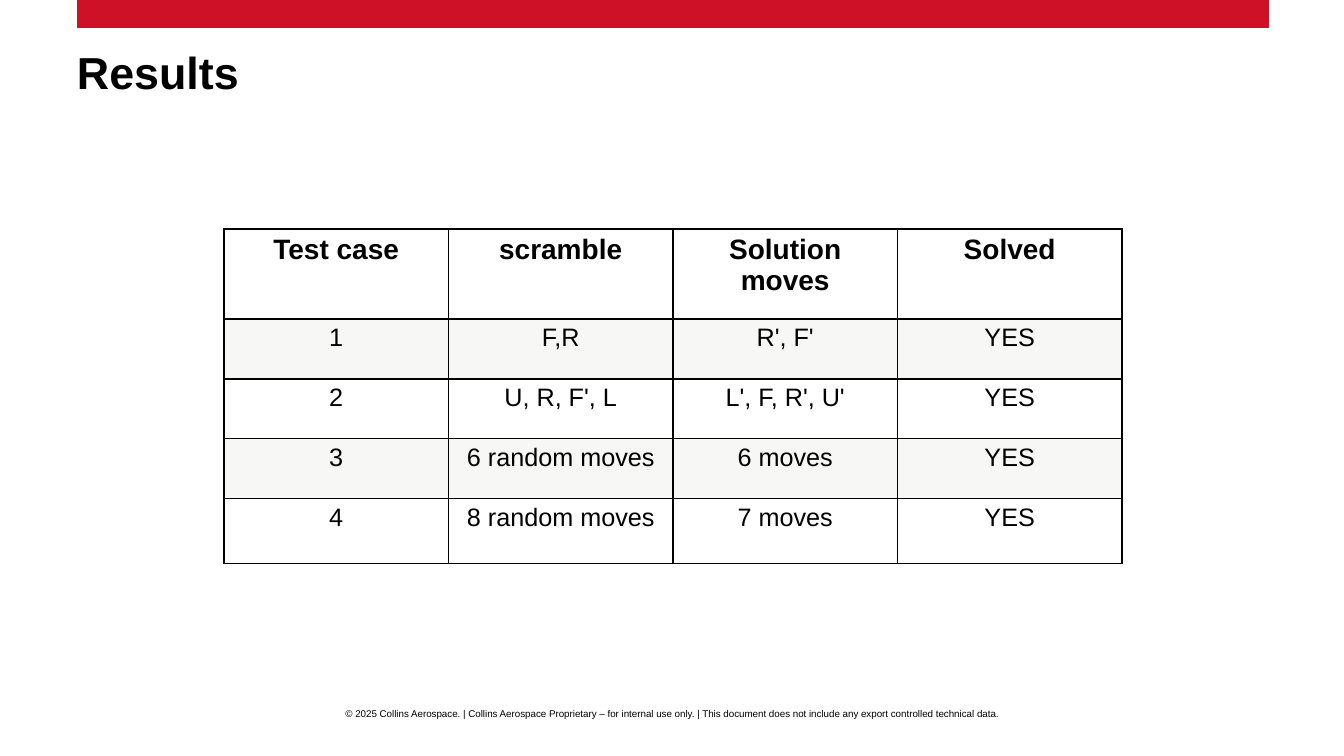
"""Build the results slide: red bar, title, test-case table and footer."""
from lxml.etree import SubElement
from pptx import Presentation
from pptx.dml.color import RGBColor
from pptx.enum.shapes import MSO_CONNECTOR as Connector
from pptx.enum.text import MSO_ANCHOR as Anchor, PP_ALIGN as Align
from pptx.oxml.ns import qn
from pptx.util import Pt

SLIDE_SIZE = (1344, 756)
FONT = "Arial"
BLACK, RED, GREY = "000000", "CE1126", "D9D9D6"
TITLE = "Results"
FOOTER = ("© 2025 Collins Aerospace. | Collins Aerospace Proprietary – for internal use only. | "
          "This document does not include any export controlled technical data.")
RESULTS = [
    ("Test case", "scramble", "Solution moves", "Solved"),
    ("1", "F,R", "R', F'", "YES"),
    ("2", "U, R, F', L", "L', F, R', U'", "YES"),
    ("3", "6 random moves", "6 moves", "YES"),
    ("4", "8 random moves", "7 moves", "YES"),
]
ROW_HEIGHTS = (90, 60, 60, 60, 65)
TABLE_LEFT, TABLE_TOP, TABLE_WIDTH = 224, 229, 898


def px(length):
    return round(length * 914400 / 100.8)


def rgb(color):
    return RGBColor.from_string(color)


def write(frame, text, size, bold=False, align=Align.CENTER):
    frame.text = text
    paragraph = frame.paragraphs[0]
    paragraph.alignment = align
    font = paragraph.runs[0].font
    font.name, font.size, font.bold = FONT, Pt(size), bold
    font.color.rgb = rgb(BLACK)
    return paragraph


def add_text(slide, box, text, size, **style):
    frame = slide.shapes.add_textbox(*map(px, box)).text_frame
    frame.word_wrap = True
    frame.vertical_anchor = Anchor.TOP
    frame.margin_left = frame.margin_right = frame.margin_top = frame.margin_bottom = 0
    return write(frame, text, size, **style)


def add_bar(slide):
    bar = slide.shapes.add_connector(Connector.STRAIGHT, px(77), px(14), px(1269), px(14))
    bar.line.color.rgb = rgb(RED)
    bar.line.width = Pt(20)
    SubElement(bar._element.spPr, qn("a:effectLst"))


def add_borders(cell):
    properties = cell._tc.get_or_add_tcPr()
    for side in "LRTB":
        border = SubElement(properties, qn(f"a:ln{side}"), w=str(Pt(1)))
        SubElement(SubElement(border, qn("a:solidFill")), qn("a:srgbClr"), val=BLACK)


def shade(cell, striped):
    if not striped:
        cell.fill.background()
        return
    cell.fill.solid()
    cell.fill.fore_color.rgb = rgb(GREY)
    tint = cell._tc.tcPr.find(qn("a:solidFill")).find(qn("a:srgbClr"))
    SubElement(tint, qn("a:alpha"), val="20000")


def add_results(slide):
    box = (TABLE_LEFT, TABLE_TOP, TABLE_WIDTH, sum(ROW_HEIGHTS))
    table = slide.shapes.add_table(len(RESULTS), len(RESULTS[0]), *map(px, box)).table
    table.first_row = table.horz_banding = False
    for column in table.columns:
        column.width = px(TABLE_WIDTH / len(RESULTS[0]))
    for r, (case, height) in enumerate(zip(RESULTS, ROW_HEIGHTS)):
        table.rows[r].height = px(height)
        header = r == 0
        for c, value in enumerate(case):
            cell = table.cell(r, c)
            write(cell.text_frame, value, 20 if header else 18, bold=header)
            add_borders(cell)
            shade(cell, striped=r % 2 == 1)


def main():
    deck = Presentation()
    deck.slide_width, deck.slide_height = map(px, SLIDE_SIZE)
    slide = deck.slides.add_slide(deck.slide_layouts[6])
    add_bar(slide)
    title = add_text(slide, (77, 51, 1191, 75), TITLE, 32, bold=True, align=Align.LEFT)
    title.line_spacing = 0.9
    add_text(slide, (0, 708, 1344, 11), FOOTER, 7)
    add_results(slide)
    deck.save("out.pptx")


if __name__ == "__main__":
    main()
